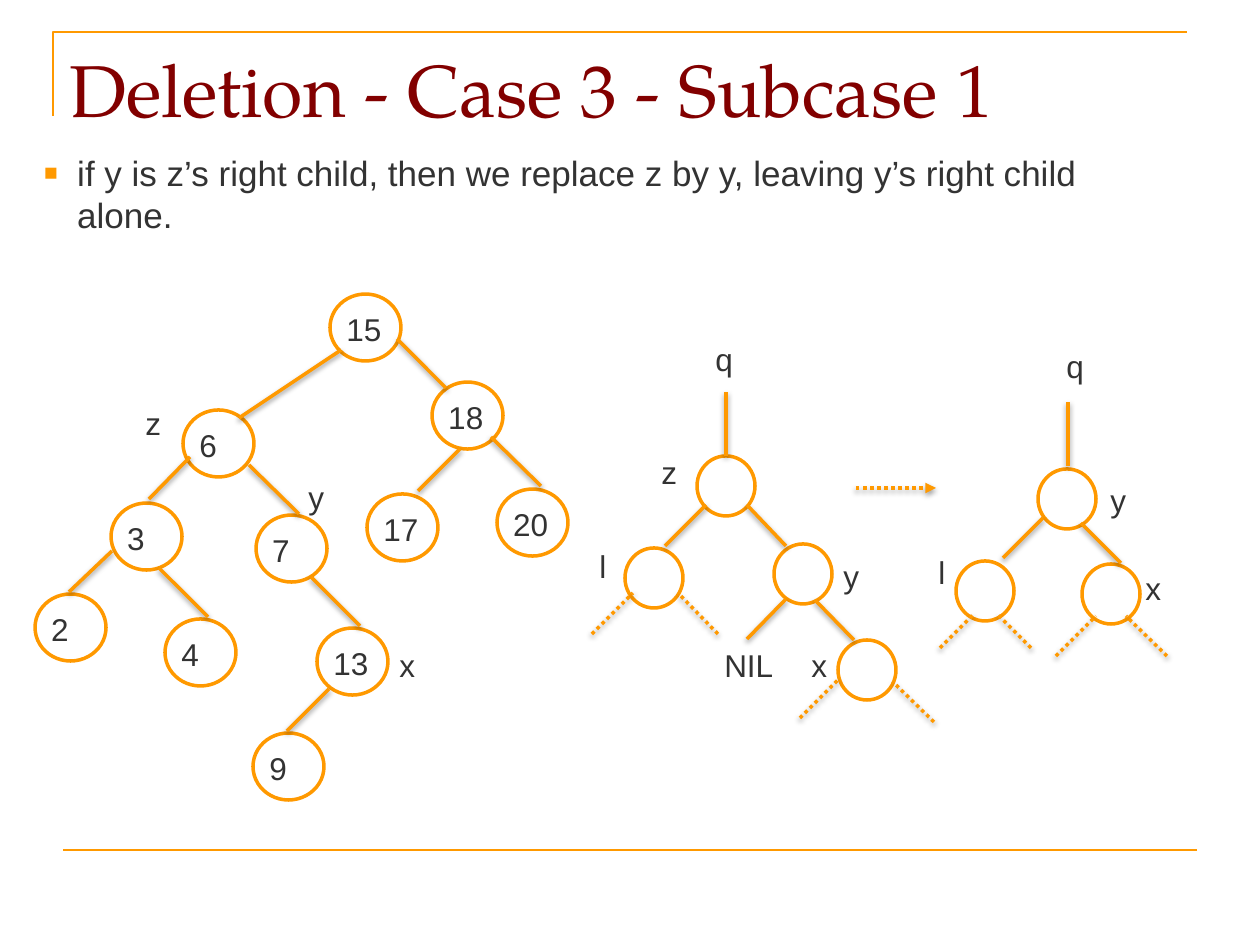
from lxml import etree
from pptx import Presentation
from pptx import util as u
from pptx.dml.color import RGBColor
from pptx.enum import dml, shapes, text
from pptx.oxml import ns

EMU_PER_PIXEL = 914400 / 126
ORANGE, WHITE, DARK, MAROON = "FF9900", "FFFFFF", "333333", "820000"


def px(value):
    return u.Emu(round(value * EMU_PER_PIXEL))


def color(code):
    return RGBColor.from_string(code)


def add_xml(parent, tag, **attributes):
    return etree.SubElement(parent, ns.qn(tag), attributes)


def write(para, words, size=18, font="Arial", ink=DARK):
    span = para.add_run()
    span.text = words
    span.font.size = u.Pt(size)
    span.font.name = font
    span.font.color.rgb = color(ink)


class Board:
    """Draws tree diagrams on one slide in a shared style."""

    def __init__(self, page):
        self.shapes = page.shapes

    def stroke(self, line, width=2):
        line.color.rgb = color(ORANGE)
        line.width = u.Pt(width)

    def label(self, words, left, top, width=32, height=48, **style):
        box = self.shapes.add_textbox(px(left), px(top), px(width), px(height))
        frame = box.text_frame
        frame.word_wrap = True
        frame.vertical_anchor = text.MSO_ANCHOR.TOP
        frame.margin_left = frame.margin_right = u.Inches(0.05)
        frame.margin_top = frame.margin_bottom = u.Inches(0.05)
        write(frame.paragraphs[0], words, **style)
        return frame.paragraphs[0]

    def bullet(self, words, left, top, width, height, **style):
        para = self.label(words, left, top, width, height, **style)
        para.space_before = u.Pt(4)
        props = para._p.get_or_add_pPr()
        props.set("marL", str(px(33)))
        props.set("indent", str(px(-33)))
        add_xml(add_xml(props, "a:buClr"), "a:srgbClr", val=ORANGE)
        add_xml(props, "a:buSzPct", val="65000")
        add_xml(props, "a:buFont", typeface="Arial")
        add_xml(props, "a:buChar", char="■")

    def node(self, left, top, width, height):
        oval = self.shapes.add_shape(
            shapes.MSO_SHAPE.OVAL, px(left), px(top), px(width), px(height))
        oval.shadow.inherit = False
        oval.fill.solid()
        oval.fill.fore_color.rgb = color(WHITE)
        self.stroke(oval.line)

    def line(self, x1, y1, x2, y2, width=2, dotted=False, arrow=False, shadow=True):
        edge = self.shapes.add_connector(
            shapes.MSO_CONNECTOR.STRAIGHT, px(x1), px(y1), px(x2), px(y2))
        self.stroke(edge.line, width)
        if dotted:
            edge.line.dash_style = dml.MSO_LINE.ROUND_DOT
        if arrow:
            add_xml(edge.line._get_or_add_ln(), "a:tailEnd", type="triangle")
        effects = add_xml(edge._element.spPr, "a:effectLst")
        if shadow:
            cast = add_xml(effects, "a:outerShdw", blurRad=str(u.Pt(3)),
                           dist=str(u.Pt(1.6)), dir="5400000", rotWithShape="0")
            add_xml(add_xml(cast, "a:srgbClr", val="000000"), "a:alpha", val="38000")

    def corner(self, left, top, right, bottom):
        builder = self.shapes.build_freeform(left, bottom, scale=EMU_PER_PIXEL)
        builder.add_line_segments([(left, top), (right, top)], close=False)
        outline = builder.convert_to_shape()
        outline.shadow.inherit = False
        outline.fill.background()
        self.stroke(outline.line, 1.5)


KEYS = [("15", 330, 294), ("6", 183, 410), ("18", 432, 382), ("3", 111, 503),
        ("7", 256, 515), ("17", 367, 494), ("20", 497, 489), ("2", 35, 594),
        ("4", 165, 619), ("13", 317, 628), ("9", 253, 733)]
EMPTY_NODES = [(697, 456), (625, 548), (774, 544), (838, 640),
               (1038, 469), (956, 561), (1082, 564)]
EDGES = [(239, 418, 341, 350), (446, 388, 397, 339), (149, 499, 190, 457),
         (299, 514, 249, 465), (418, 491, 460, 449), (541, 486, 491, 437),
         (69, 592, 112, 551), (208, 617, 159, 568), (360, 626, 311, 577),
         (287, 731, 329, 689),
         (726, 456, 726, 392), (786, 546, 747, 505), (665, 546, 706, 505),
         (747, 639, 786, 599), (854, 640, 815, 600),
         (1068, 466, 1068, 402), (1003, 558, 1043, 518), (1121, 563, 1081, 523)]
SUBTREES = [(592, 634, 633, 593), (718, 634, 678, 593), (800, 718, 840, 678),
            (934, 722, 893, 682), (940, 648, 973, 615), (1031, 648, 998, 615),
            (1056, 656, 1096, 616), (1167, 656, 1126, 616)]
NAMES = [("z", 139, 398), ("y", 302, 472), ("x", 393, 640),
         ("q", 709, 334), ("z", 655, 447), ("l", 593, 541), ("y", 837, 551),
         ("x", 805, 640), ("q", 1060, 341), ("y", 1104, 475), ("l", 932, 547),
         ("x", 1139, 563)]

deck = Presentation()
deck.slide_width, deck.slide_height = px(1260), px(945)
board = Board(deck.slides.add_slide(deck.slide_layouts[6]))

board.corner(53, 32, 1187, 116)
board.line(63, 850, 1197, 850, width=1.5, shadow=False)
board.label("Deletion - Case 3 - Subcase 1", 63, 38, 1134, 130,
            size=42, font="TeX Gyre Pagella", ink=MAROON)
board.bullet("if y is z’s right child, then we replace z by y, "
             "leaving y’s right child alone.", 38, 145, 1149, 93, size=20)

for key, left, top in KEYS:
    board.node(left, top, 71, 67)
    board.label(key, left + 10, top + 10, 50)
for left, top in EMPTY_NODES:
    board.node(left, top, 58, 60)
for edge in EDGES:
    board.line(*edge)
for edge in SUBTREES:
    board.line(*edge, dotted=True)
board.line(856, 488, 936, 488, dotted=True, arrow=True)
for name, left, top in NAMES:
    board.label(name, left, top)
board.label("NIL", 718, 640, 66)

deck.save("out.pptx")
